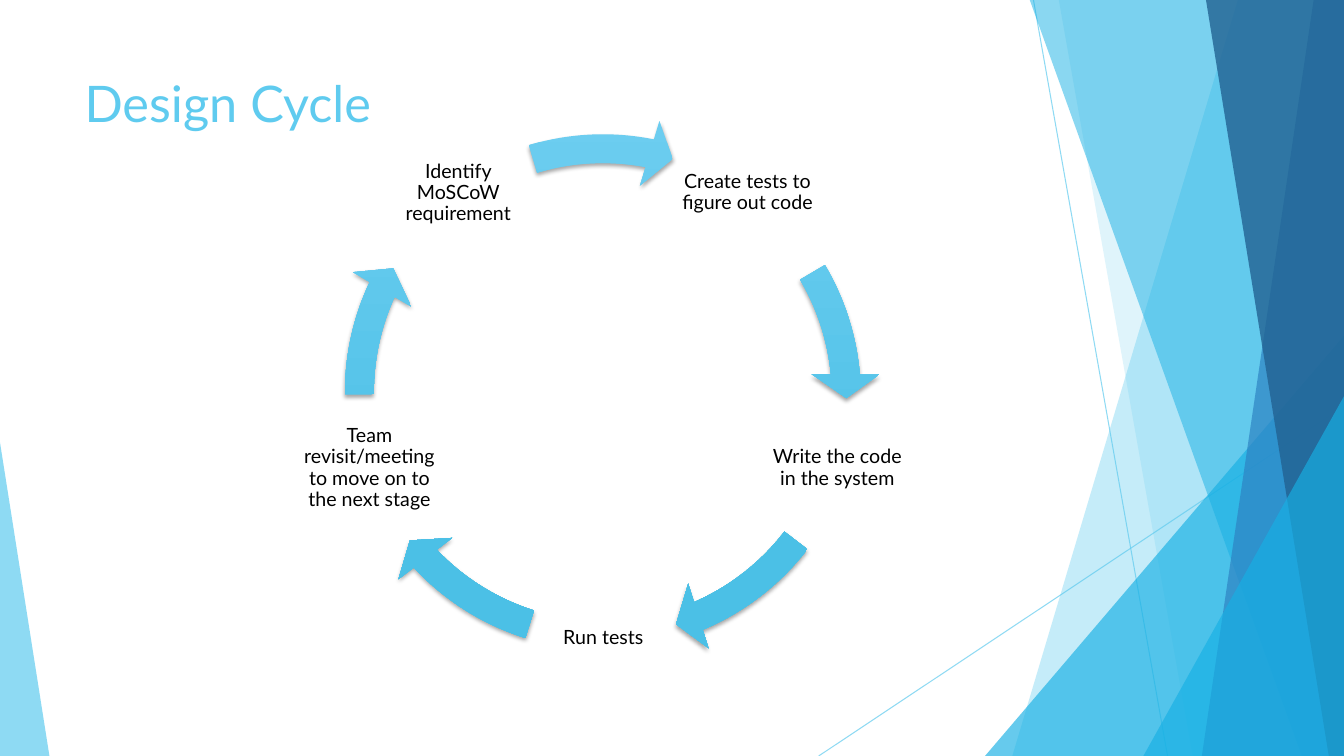
from lxml.etree import SubElement
from pptx import Presentation
from pptx.dml.color import RGBColor
from pptx.enum.shapes import MSO_CONNECTOR, MSO_SHAPE
from pptx.enum.text import MSO_ANCHOR, PP_ALIGN
from pptx.oxml.ns import qn
from pptx.util import Inches, Pt

SKY = RGBColor(0x5F, 0xCB, 0xEF)
CYAN = RGBColor(0x17, 0xB0, 0xE4)
BLUE = RGBColor(0x2E, 0x83, 0xC3)
NAVY = RGBColor(0x22, 0x62, 0x92)
ARROW_TOP = RGBColor(0x6C, 0xCD, 0xF0)
ARROW_BOTTOM = RGBColor(0x4B, 0xC0, 0xE6)
BLACK = RGBColor(0, 0, 0)
FONT = "Lato"
WIDTH, HEIGHT = 13.33, 7.5
BAND_TOP = -0.01
LABEL_SIZE, RING_SIZE, RING_LEFT = 1.47, 5.5, 3.23

TITLE = "Design Cycle"
# label, label left, label top, ring top, arrow start and end in degrees
STEPS = [
    ("Create tests to figure out code", 6.68, 1.18, 1.18, 329.44, 354.88),
    ("Write the code in the system", 7.57, 3.91, 1.14, 37.56, 66.91),
    ("Run tests", 5.25, 5.6, 1.14, 107.5, 136.84),
    ("Team revisit/meeting to move on to the next stage", 2.93, 3.91, 1.14, 179.52, 204.96),
    ("Identify MoSCoW requirement", 3.81, 1.18, 1.14, 253.31, 281.09),
]
THIN_LINES = [(10.25, 0, 11.58, HEIGHT), (WIDTH, 4.03, 8.12, HEIGHT)]
# "band": left edge at top and at bottom; "triangle": left, top, width, apex
FACETS = [
    ("band", (12.28, 10.04), SKY, 36),
    ("band", (10.5, 11.83), SKY, 20),
    ("triangle", (9.77, 3.33, 3.56, 1), CYAN, 66),
    ("band", (10.21, 12.91), CYAN, 50),
    ("band", (13.03, 11.92), BLUE, 70),
    ("band", (11.96, 13.18), NAVY, 80),
    ("triangle", (11.34, 3.93, 1.99, 1), CYAN, 66),
    ("triangle", (0, 4.39, 0.49, 0), SKY, 70),
]


def set_alpha(shape, percent):
    """Make the first colour of the shape, fill or line, translucent."""
    color = next(shape._element.spPr.iter(qn("a:srgbClr")))
    SubElement(color, qn("a:alpha"), val=str(percent * 1000))


def add_thin_line(slide, ends):
    line = slide.shapes.add_connector(MSO_CONNECTOR.STRAIGHT, *map(Inches, ends))
    line.line.color.rgb = SKY
    line.line.width = Pt(0.75)
    set_alpha(line, 70)
    SubElement(line._element.spPr, qn("a:effectLst"))


def add_facet(slide, kind, geometry, color, alpha):
    if kind == "band":
        top_left, bottom_left = geometry
        corners = [(top_left, BAND_TOP), (WIDTH, BAND_TOP), (WIDTH, HEIGHT), (bottom_left, HEIGHT)]
        points = [(Inches(x), Inches(y)) for x, y in corners]
        builder = slide.shapes.build_freeform(*points[0])
        builder.add_line_segments(points[1:], close=True)
        facet = builder.convert_to_shape()
    else:
        left, top, width, apex = geometry
        facet = slide.shapes.add_shape(
            MSO_SHAPE.ISOSCELES_TRIANGLE, *map(Inches, (left, top, width, HEIGHT - top)))
        facet.adjustments[0] = apex
    facet.shadow.inherit = False
    facet.fill.solid()
    facet.fill.fore_color.rgb = color
    facet.line.fill.background()
    set_alpha(facet, alpha)


def add_text(slide, text, place, size, color, frame_format, para_format):
    box = slide.shapes.add_textbox(*map(Inches, place))
    frame = box.text_frame
    for name, value in {"word_wrap": True, **frame_format}.items():
        setattr(frame, name, value)
    para = frame.paragraphs[0]
    for name, value in para_format.items():
        setattr(para, name, value)
    span = para.add_run()
    span.text = text
    for name, value in {"name": FONT, "size": Pt(size)}.items():
        setattr(span.font, name, value)
    span.font.color.rgb = color


def add_arrow(slide, top, start, end):
    """Draw one clockwise arrow of the ring."""
    arrow = slide.shapes.add_shape(
        MSO_SHAPE.CIRCULAR_ARROW, *map(Inches, (RING_LEFT, top, RING_SIZE, RING_SIZE)))
    # One adjustment unit is 100000, one degree is 60000
    for index, value in enumerate((0.052, 3.36, end * 0.6, start * 0.6, 0.061)):
        arrow.adjustments[index] = value
    arrow.fill.gradient()
    arrow.fill.gradient_angle = 270
    stops = [(0, ARROW_TOP), (0.78, ARROW_BOTTOM)]
    for stop, (position, color) in zip(arrow.fill.gradient_stops, stops):
        stop.position = position
        stop.color.rgb = color
    arrow.line.fill.background()
    arrow.shadow.inherit = False
    effects = arrow._element.spPr.find(qn("a:effectLst"))
    shadow = SubElement(effects, qn("a:outerShdw"), blurRad=str(Pt(3)), dist=str(Pt(2)),
                        dir="5400000", rotWithShape="0")
    color = SubElement(shadow, qn("a:srgbClr"), val=str(BLACK))
    SubElement(color, qn("a:alpha"), val="35000")


def main():
    deck = Presentation()
    deck.slide_width, deck.slide_height = Inches(WIDTH), Inches(HEIGHT)
    slide = deck.slides.add_slide(deck.slide_layouts[6])
    for ends in THIN_LINES:
        add_thin_line(slide, ends)
    for facet in FACETS:
        add_facet(slide, *facet)
    margins = {f"margin_{side}": Inches(0.02) for side in ("left", "top", "right", "bottom")}
    label_frame = {"vertical_anchor": MSO_ANCHOR.MIDDLE, **margins}
    label_para = {"alignment": PP_ALIGN.CENTER, "line_spacing": 0.9}
    for label, left, top, ring_top, start, end in STEPS:
        add_text(slide, label, (left, top, LABEL_SIZE, LABEL_SIZE), 14, BLACK,
                 label_frame, label_para)
        add_arrow(slide, ring_top, start, end)
    add_text(slide, TITLE, (0.74, 0.67, 9.4, 1.44), 36, SKY,
             {"vertical_anchor": MSO_ANCHOR.TOP}, {"alignment": PP_ALIGN.LEFT})
    deck.save("out.pptx")


if __name__ == "__main__":
    main()
